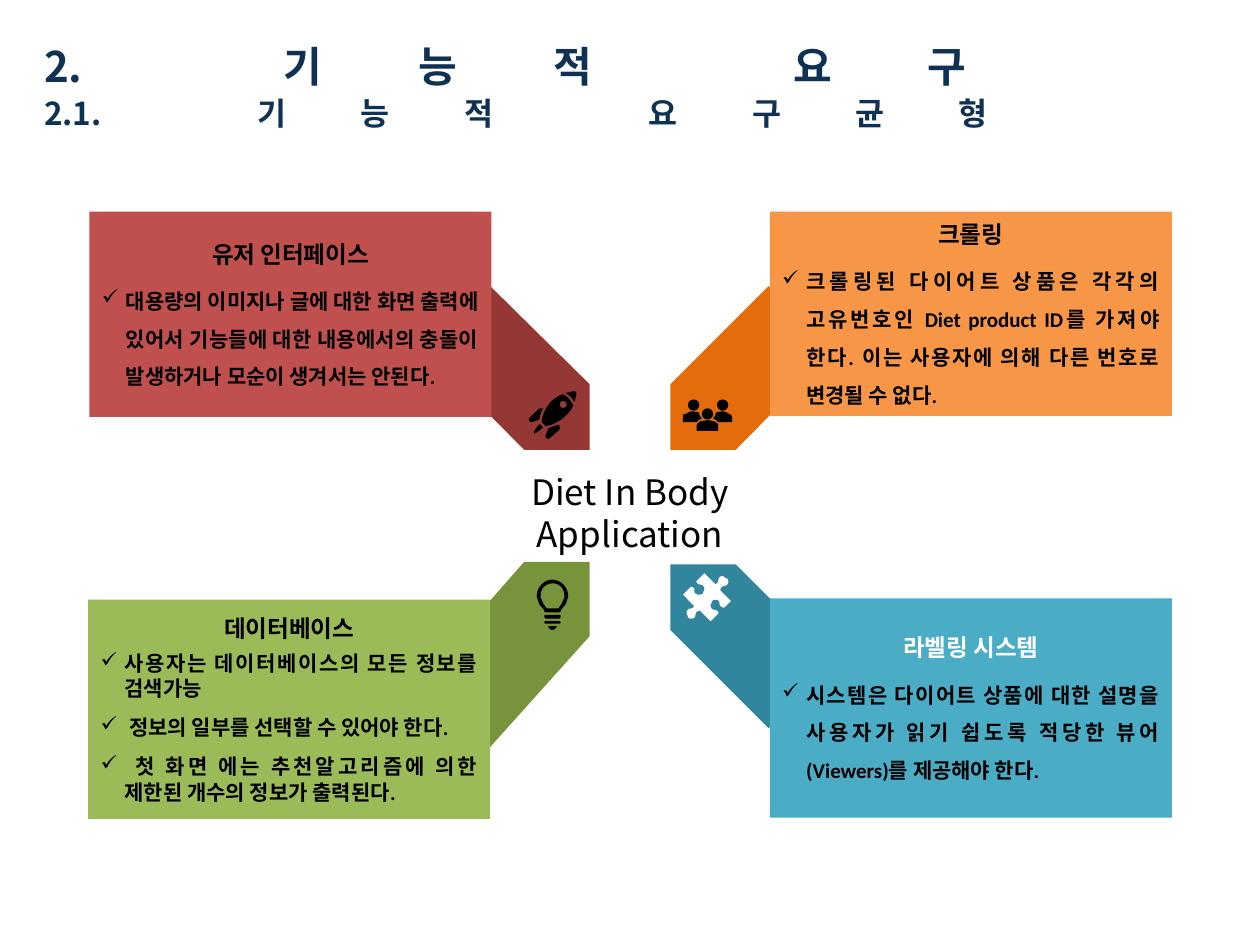
import pptx
import pptx.util
import pptx.dml.color
import pptx.enum.shapes
import pptx.enum.text
from lxml import etree

PX = 9144  # EMU in one px, 100 px to the inch
SANS, BODY = "Noto Sans CJK KR", "Calibri"
INK, WHITE, NAVY = "000000", "FFFFFF", "0F3153"
ALIGN = pptx.enum.text.PP_ALIGN
ANCHOR = pptx.enum.text.MSO_ANCHOR
KIND = pptx.enum.shapes.MSO_SHAPE


def rgb(code):
    return pptx.dml.color.RGBColor.from_string(code)


def curve(start, ctrl, steps=6):
    """Points along a cubic curve, after its start."""
    (ax, ay), (bx, by), (cx, cy), (dx, dy) = [start] + ctrl
    out = []
    for i in range(1, steps + 1):
        t = i / steps
        u = 1 - t
        a, b, c, d = u ** 3, 3 * u * u * t, 3 * u * t * t, t ** 3
        out.append((a * ax + b * bx + c * cx + d * dx,
                    a * ay + b * by + c * cy + d * dy))
    return out


def trace(path):
    """Turn 'M x,y L x,y C x,y x,y x,y' into closed lists of points."""
    loops, mode, ctrl = [], "M", []
    for word in path.split():
        if word in "MLC":
            mode = word
            continue
        point = tuple(int(n) for n in word.split(","))
        if mode == "M":
            loops.append([point])
        elif mode == "L":
            loops[-1].append(point)
        else:
            ctrl.append(point)
            if len(ctrl) == 3:
                loops[-1] += curve(loops[-1][-1], ctrl)
                ctrl = []
    return [[(x * PX, y * PX) for x, y in loop] for loop in loops]


class Deck:
    def __init__(self, wide, high):
        self.prs = pptx.Presentation()
        self.prs.slide_width, self.prs.slide_height = wide * PX, high * PX
        self.slide = self.prs.slides.add_slide(self.prs.slide_layouts[6])
        self.shapes = self.slide.shapes

    def paint(self, shape, fill):
        shape.shadow.inherit = False
        shape.fill.solid()
        shape.fill.fore_color.rgb = rgb(fill)
        shape.line.fill.background()
        return shape

    def preset(self, kind, box, fill):
        return self.paint(self.shapes.add_shape(kind, *[n * PX for n in box]), fill)

    def outline(self, path, fill):
        loops = trace(path)
        pen = self.shapes.build_freeform(*loops[0][0], scale=1.0)
        pen.add_line_segments(loops[0][1:], close=True)
        for loop in loops[1:]:
            pen.move_to(*loop[0])
            pen.add_line_segments(loop[1:], close=True)
        return self.paint(pen.convert_to_shape(), fill)

    def icon(self, paths, fill, dots=()):
        parts = [self.preset(KIND.OVAL, dot, fill) for dot in dots]
        parts += [self.outline(path, fill) for path in paths]
        self.shapes.add_group_shape(parts)

    def style(self, para, size, color, face=BODY, bold=True, align=ALIGN.CENTER):
        para.alignment = align
        font = para.font
        font.size, font.name, font.bold = pptx.util.Pt(size), face, bold
        font.color.rgb = rgb(color)

    def tick(self, para):
        props = para._p.get_or_add_pPr()
        props.set("marL", str(19 * PX))
        props.set("indent", str(-19 * PX))
        mark = etree.SubElement(props, pptx.oxml.ns.qn("a:buChar"))
        mark.set("char", "✓")

    def card(self, box, fill, head, items, space=1.5, color=INK):
        frame = self.preset(KIND.RECTANGLE, box, fill).text_frame
        frame.word_wrap, frame.vertical_anchor = True, ANCHOR.MIDDLE
        para = frame.paragraphs[0]
        para.text = head
        para.space_after = pptx.util.Pt(4.5)
        self.style(para, 13.5, color)
        for item in items:
            para = frame.add_paragraph()
            para.text = item
            para.line_spacing, para.space_after = space, pptx.util.Pt(8)
            self.tick(para)
            self.style(para, 12, INK, align=ALIGN.JUSTIFY)

    def label(self, box, lines):
        frame = self.shapes.add_textbox(*[n * PX for n in box]).text_frame
        frame.word_wrap, frame.vertical_anchor = False, ANCHOR.MIDDLE
        for i, line in enumerate(lines):
            para = frame.add_paragraph() if i else frame.paragraphs[0]
            para.text = line
            self.style(para, 20, INK, SANS, False)

    def title(self, box, lines):
        frame = self.shapes.add_textbox(*[n * PX for n in box]).text_frame
        frame.word_wrap = True
        frame.margin_left, frame.margin_top = 35 * PX, 28 * PX
        frame.margin_right = frame.margin_bottom = 0
        para = frame.paragraphs[0]
        para.line_spacing = 1.1
        self.style(para, 24, NAVY, SANS, align=ALIGN.JUSTIFY)
        for text, size in lines:
            run = para.add_run()
            run.text, run.font.size = text, pptx.util.Pt(size)
            para.add_line_break()  # a line that ends in a break is justified


def main():
    deck = Deck(1000, 750)
    deck.title((0, 0, 843, 131), [("2. 기능적 요구", 24), ("2.1. 기능적 요구균형", 18)])

    # Arms from the centre to the cards
    deck.outline("M 389,227 L 468,305 468,357 416,357 338,278", "953735")
    deck.outline("M 610,227 L 662,278 584,357 532,357 532,305", "E46C0A")
    deck.outline("M 416,446 L 468,446 468,505 389,593 338,535", "77933C")
    deck.outline("M 584,448 L 662,526 610,578 532,500 532,448", "31859C")

    # Cards
    deck.card((71, 168, 319, 163), "C0504D", "유저 인터페이스", [
        "대용량의 이미지나 글에 대한 화면 출력에 있어서 기능들에 대한 "
        "내용에서의 충돌이 발생하거나 모순이 생겨서는 안된다."])
    deck.card((611, 168, 319, 162), "F79646", "크롤링", [
        "크롤링된 다이어트 상품은 각각의 고유번호인 Diet product ID를 "
        "가져야 한다. 이는 사용자에 의해 다른 번호로 변경될 수 없다."])
    deck.card((70, 476, 319, 174), "9BBB59", "데이터베이스", [
        "사용자는 데이터베이스의 모든 정보를 검색가능",
        " 정보의 일부를 선택할 수 있어야 한다.",
        " 첫 화면 에는 추천알고리즘에 의한 제한된 개수의 정보가 출력된다."], space=1.0)
    deck.card((611, 475, 319, 174), "4BACC6", "라벨링 시스템", [
        "시스템은 다이어트 상품에 대한 설명을 사용자가 읽기 쉽도록 "
        "적당한 뷰어(Viewers)를 제공해야 한다."], color=WHITE)

    deck.label((406, 368, 188, 77), ["Diet In Body", "Application"])

    # People
    deck.icon([
        "M 570,342 L 570,338 C 570,337 570,336 569,336 568,335 566,334 565,334 "
        "561,333 560,334 558,334 556,334 555,335 554,336 553,337 553,337 553,338 L 553,342",
        "M 580,329 C 579,329 578,328 576,327 573,326 571,327 569,327 L 568,328 "
        "C 568,330 567,331 566,332 568,333 569,334 570,335 L 581,335 581,331",
        "M 553,335 C 554,334 555,333 557,332 556,331 555,330 555,328 L 554,327 "
        "C 551,327 549,326 547,327 545,328 544,329 542,329 L 542,331 542,335",
    ], INK, [(546, 317, 9, 9), (569, 317, 9, 9), (557, 324, 9, 9)])

    # Rocket
    deck.icon([
        "M 457,311 C 457,310 452,311 449,312 450,313 452,314 453,315 "
        "454,316 455,318 456,319 457,315 458,312 457,311",
        "M 431,324 L 429,324 428,324 420,332 C 419,333 420,335 422,335 "
        "L 428,333 C 428,331 429,328 431,324",
        "M 444,337 C 440,338 437,339 435,340 L 433,346 C 433,348 435,349 436,348 "
        "L 444,341 C 444,340 445,339 444,339",
        "M 446,313 C 444,314 440,316 437,319 432,325 430,331 430,335 L 433,338 "
        "C 436,338 443,336 449,330 452,327 454,324 455,322 454,320 453,318 451,316 "
        "450,315 448,313 446,313 M 449,323 C 448,324 446,324 445,323 444,322 444,320 "
        "445,319 446,318 448,318 449,319 450,320 450,322 449,323",
        "M 430,338 C 429,337 429,336 427,338 426,339 423,343 424,344 "
        "425,344 428,342 430,340 432,339 430,339 430,338",
    ], INK)

    # Light bulb
    ring = ("M 434,{0} L 443,{0} C 444,{0} 445,{0} 445,{1} 445,{2} 444,{2} 443,{2} "
            "L 434,{2} C 433,{2} 432,{2} 432,{1} 432,{0} 433,{0} 434,{0}")
    deck.icon([
        ring.format(488, 489, 491),
        ring.format(493, 494, 495),
        "M 435,497 C 436,499 437,500 438,500 440,500 441,499 442,497",
        "M 438,460 C 432,460 426,466 426,473 426,474 427,476 427,477 428,479 428,480 "
        "429,481 430,482 432,484 432,485 432,486 433,486 433,486 L 444,486 "
        "C 444,486 445,486 445,485 445,484 447,482 448,481 449,480 449,479 450,477 "
        "450,476 451,474 451,473 451,466 445,460 438,460 "
        "M 448,473 C 448,474 448,475 447,476 447,477 446,478 446,479 445,480 444,482 "
        "443,483 L 434,483 C 433,482 432,480 431,479 431,478 430,477 430,476 "
        "429,475 429,474 429,473 429,467 433,463 439,463 444,463 448,467 448,473",
    ], INK)

    # Puzzle piece
    deck.outline(
        "M 567,484 C 564,484 563,480 565,478 L 565,477 C 567,475 572,476 571,479 "
        "571,481 574,483 575,482 L 580,477 572,469 C 571,467 573,465 575,465 "
        "578,465 579,461 577,459 L 576,459 C 574,456 570,457 570,461 570,462 568,465 "
        "567,463 L 559,455 553,461 C 552,462 554,464 556,464 559,464 560,468 558,470 "
        "L 558,471 C 555,473 551,472 551,469 552,467 549,465 548,466 L 542,472 550,480 "
        "C 552,481 550,483 548,483 545,483 544,487 546,489 L 546,490 C 548,492 552,491 "
        "552,488 552,486 554,484 556,485 L 564,493 570,487 C 571,486 569,484 567,484", WHITE)

    deck.prs.save("out.pptx")


if __name__ == "__main__":
    main()
